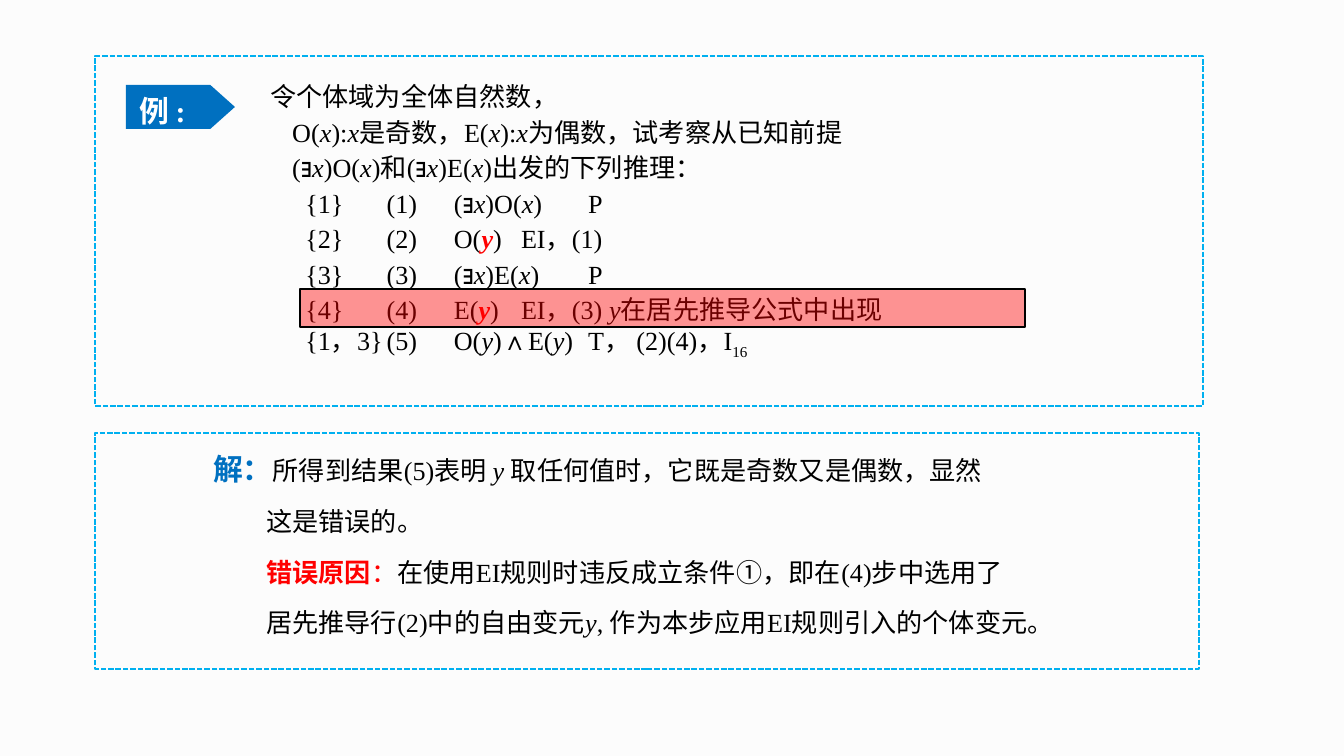
from pptx import Presentation
from pptx.dml.color import RGBColor
from pptx.enum.dml import MSO_LINE
from pptx.enum.shapes import MSO_SHAPE
from pptx.enum.text import MSO_ANCHOR, PP_ALIGN
from pptx.oxml.ns import qn
from pptx.util import Pt
from lxml import etree

PX = 914400 / 134.4
FONT = "Times New Roman"
BLACK = RGBColor(0x00, 0x00, 0x00)
WHITE = RGBColor(0xFF, 0xFF, 0xFF)
RED = RGBColor(0xFF, 0x00, 0x00)
BLUE = RGBColor(0x00, 0x70, 0xC0)
SKY = RGBColor(0x00, 0xB0, 0xF0)
PAPER = RGBColor(0xFC, 0xFC, 0xFC)
RECTANGLE, PENTAGON = MSO_SHAPE.RECTANGLE, MSO_SHAPE.PENTAGON
DASH = MSO_LINE.SQUARE_DOT
JUSTIFY, LEFT = PP_ALIGN.JUSTIFY, PP_ALIGN.LEFT
MIDDLE = MSO_ANCHOR.MIDDLE

# Run styles
STYLES = {
    "plain": {},
    "variable": {"italic": True},
    "clash": {"italic": True, "bold": True, "color": RED},
    "subscript": {"baseline": -25},
    "label": {"size": 16, "bold": True, "color": WHITE},
    "answer": {"size": 16, "bold": True, "color": BLUE},
    "reason": {"bold": True, "color": RED},
    "colon": {"color": RED},
}
X, Y, CLASH = ("x", "variable"), ("y", "variable"), ("y", "clash")

# Content: (first-line indent, tab stops, runs), lengths in px
EXAMPLE = [
    (18, [], ["令个体域为全体自然数，"]),
    (40, [], ["O(", X, "):", X, "是奇数，E(", X, "):", X, "为偶数，试考察从已知前提"]),
    (40, [], ["(∃", X, ")O(", X, ")和(∃", X, ")E(", X, ")出发的下列推理："]),
    (53, [143, 212, 360], ["{1}\t(1)\t(∃", X, ")O(", X, ")\tP"]),
    (53, [143, 219, 366], ["{2}\t(2)\tO(", CLASH, ")\tEI，(1)"]),
    (53, [143, 212, 364], ["{3}\t(3)\t(∃", X, ")E(", X, ")\tP"]),
    (53, [143, 219, 370], ["{4}\t(4)\tE(", CLASH, ")\tEI，(3) ", Y, "在居先推导公式中出现"]),
    (53, [156, 232, 384], ["{1，3}\t(5)\tO(", Y, ")∧E(", Y, ")\tT， (2)(4)，I", ("16", "subscript")]),
]
HANG = 53
SOLUTION = [
    (-HANG, [], [("解：", "answer"), "所得到结果(5)表明 ", ("y ", "variable"),
                 "取任何值时，它既是奇数又是偶数，显然"]),
    (0, [], ["这是错误的。"]),
    (0, [], [("错误原因", "reason"), ("：", "colon"),
             "在使用EI规则时违反成立条件①，即在(4)步中选用了"]),
    (0, [], ["居先推导行(2)中的自由变元", Y, ", 作为本步应用EI规则引入的个体变元。"]),
]
LABEL = [(0, [], [("例 :", "label")])]

# Places: left, top, width, height in px
LABEL_BOX = (126, 85, 109, 44)
FRAMES = [(95, 56, 1108, 350), (95, 433, 1104, 236)]
EXAMPLE_BOX = (239, 70, 925, 297)
SOLUTION_BOX = (200, 441, 966, 206)
HIGHLIGHT_BOX = (300, 289, 725, 38)


def emu(*lengths):
    return [round(length * PX) for length in lengths]


def add_run(paragraph, text, size=14, bold=False, italic=False, color=BLACK, baseline=0):
    run = paragraph.add_run()
    run.text = text
    font = run.font
    font.name, font.size, font.bold, font.italic = FONT, Pt(size), bold, italic
    font.color.rgb = color
    if baseline:
        run._r.get_or_add_rPr().set("baseline", str(baseline * 1000))


def write_text(frame, rows, align=JUSTIFY, spacing=1.0, gap=0, margin=0):
    frame.word_wrap = True
    for index, (indent, tabs, runs) in enumerate(rows):
        paragraph = frame.add_paragraph() if index else frame.paragraphs[0]
        paragraph.alignment = align
        paragraph.line_spacing = spacing
        if index and gap:
            paragraph.space_before = Pt(gap)
        properties = paragraph._p.get_or_add_pPr()
        margin_emu, indent_emu = emu(margin, indent)
        properties.set("marL", str(margin_emu))
        properties.set("indent", str(indent_emu))
        if tabs:
            tab_list = etree.SubElement(properties, qn("a:tabLst"))
            for position in emu(*tabs):
                etree.SubElement(tab_list, qn("a:tab"), pos=str(position), algn="l")
        for item in runs:
            text, style = (item, "plain") if isinstance(item, str) else item
            add_run(paragraph, text, **STYLES[style])


def add_shape(slide, kind, box, fill=None, line=None, width=1.0, dash=None, opacity=None):
    shape = slide.shapes.add_shape(kind, *emu(*box))
    shape.shadow.inherit = False
    if fill is None:
        shape.fill.background()
    else:
        shape.fill.solid()
        shape.fill.fore_color.rgb = fill
    if opacity is not None:
        color = shape._element.spPr.find(qn("a:solidFill"))[0]
        etree.SubElement(color, qn("a:alpha"), val=str(opacity * 1000))
    if line is None:
        shape.line.fill.background()
    else:
        shape.line.color.rgb = line
        shape.line.width = Pt(width)
        if dash is not None:
            shape.line.dash_style = dash
    return shape


def main():
    presentation = Presentation()
    presentation.slide_width, presentation.slide_height = emu(1344, 756)
    slide = presentation.slides.add_slide(presentation.slide_layouts[6])
    slide.background.fill.solid()
    slide.background.fill.fore_color.rgb = PAPER

    # Example label
    label = add_shape(slide, PENTAGON, LABEL_BOX, fill=BLUE)
    label.adjustments[0] = 0.56
    label.text_frame.vertical_anchor = MIDDLE
    write_text(label.text_frame, LABEL, align=LEFT, spacing=1.2)

    # Dashed frames
    for box in FRAMES:
        add_shape(slide, RECTANGLE, box, line=SKY, dash=DASH)

    # Example and solution
    example = slide.shapes.add_textbox(*emu(*EXAMPLE_BOX))
    write_text(example.text_frame, EXAMPLE, spacing=Pt(19))
    solution = slide.shapes.add_textbox(*emu(*SOLUTION_BOX))
    write_text(solution.text_frame, SOLUTION, spacing=Pt(21), gap=6, margin=HANG)

    # Highlight over the faulty step
    add_shape(slide, RECTANGLE, HIGHLIGHT_BOX, fill=RED, line=BLACK, width=0.75, opacity=42)

    presentation.save("out.pptx")


if __name__ == "__main__":
    main()
